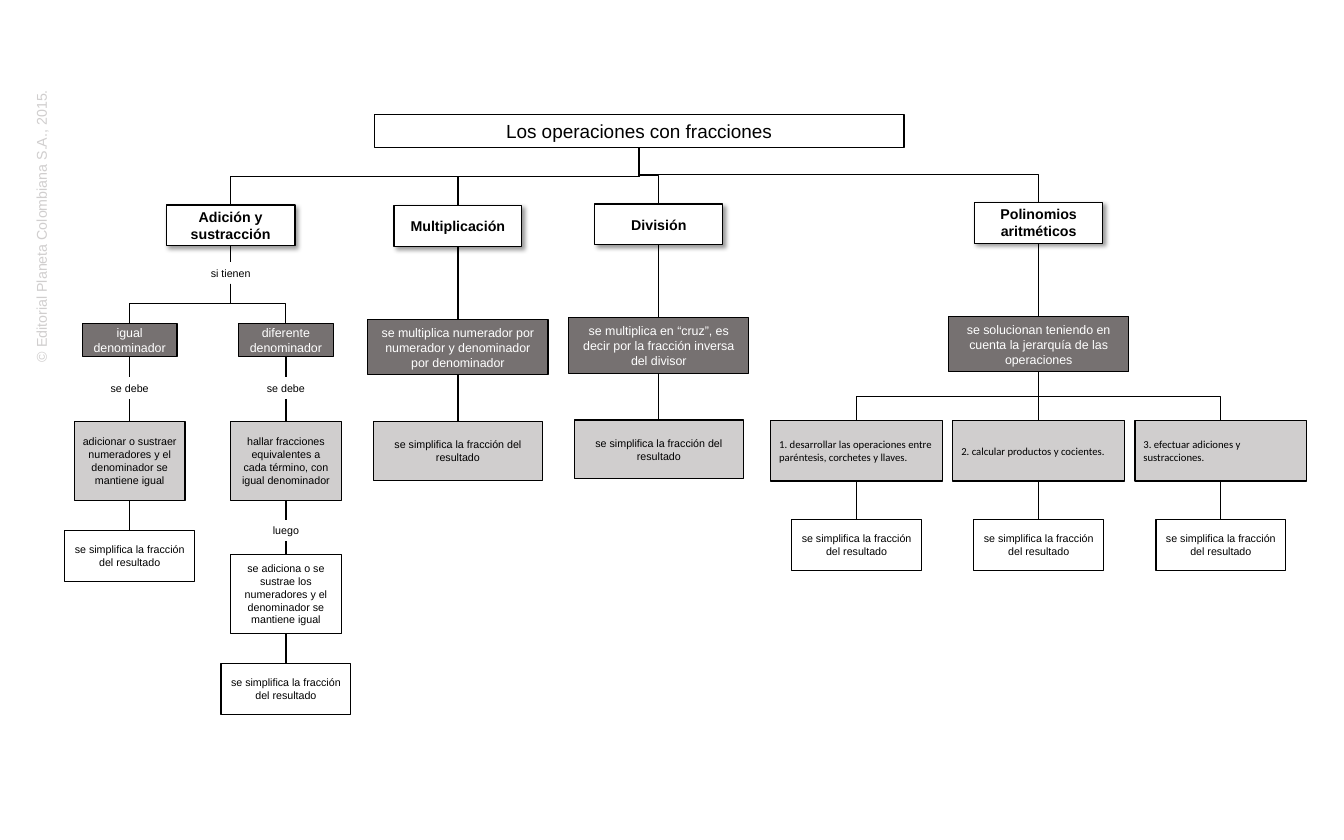
import dataclasses

import lxml.etree
import pptx
import pptx.dml.color
import pptx.enum.shapes
import pptx.enum.text
import pptx.oxml
import pptx.oxml.ns
import pptx.util

Cm = pptx.util.Cm
Pt = pptx.util.Pt
RGBColor = pptx.dml.color.RGBColor
ALIGN = pptx.enum.text.PP_ALIGN
LINK = pptx.enum.shapes.MSO_CONNECTOR

BLACK = RGBColor(0x00, 0x00, 0x00)
WHITE = RGBColor(0xFF, 0xFF, 0xFF)
DARK = RGBColor(0x76, 0x71, 0x71)
LIGHT = RGBColor(0xD0, 0xCE, 0xCE)

SHADOW = (
    '<a:outerShdw %s blurRad="50800" dist="38100" dir="2700000" algn="tl" rotWithShape="0">'
    '<a:srgbClr val="000000"><a:alpha val="40000"/></a:srgbClr></a:outerShdw>'
    % pptx.oxml.ns.nsdecls("a")
)


@dataclasses.dataclass
class Style:
    size: float
    fill: RGBColor = None
    color: RGBColor = BLACK
    font: str = "Arial"
    bold: bool = False
    align: ALIGN = ALIGN.CENTER
    raised: bool = False


TITLE = Style(16, WHITE)
HEAD = Style(12, WHITE, bold=True, raised=True)
RULE = Style(10.5, DARK, WHITE)
STEP = Style(9, LIGHT)
CASE = Style(9, LIGHT, font="Calibri", align=ALIGN.LEFT)
PLAIN = Style(9, WHITE)
LABEL = Style(9)
RIGHTS = Style(12, color=LIGHT)

RESULT = "se simplifica la fracción del resultado"


def box(slide, mid, top, width, height, text, style):
    """Place text centred on mid; a style without fill gives a text box."""
    frame = Cm(mid - width / 2), Cm(top), Cm(width), Cm(height)
    if style.fill is None:
        shape = slide.shapes.add_textbox(*frame)
    else:
        shape = slide.shapes.add_shape(pptx.enum.shapes.MSO_SHAPE.RECTANGLE, *frame)
        shape.shadow.inherit = False
        shape.fill.solid()
        shape.fill.fore_color.rgb = style.fill
        shape.line.color.rgb = BLACK
        shape.line.width = Pt(1)
    if style.raised:
        effects = shape._element.spPr.find(pptx.oxml.ns.qn("a:effectLst"))
        effects.append(pptx.oxml.parse_xml(SHADOW))
    body = shape.text_frame
    body.word_wrap = True
    body.vertical_anchor = pptx.enum.text.MSO_ANCHOR.MIDDLE
    body.text = text
    para = body.paragraphs[0]
    para.alignment = style.align
    para.font.name = style.font
    para.font.size = Pt(style.size)
    para.font.bold = style.bold
    para.font.color.rgb = style.color
    return shape


def link(slide, upper, lower):
    """Join the foot of upper to the top of lower, bending halfway down."""
    x1, y1 = upper.left + upper.width // 2, upper.top + upper.height
    x2, y2 = lower.left + lower.width // 2, lower.top
    if abs(x2 - x1) < Cm(0.1):
        line = slide.shapes.add_connector(LINK.STRAIGHT, x2, y1, x2, y2)
    else:
        # An elbow leaves sideways, so it is laid flat and then turned.
        mid_x, mid_y = (x1 + x2) // 2, (y1 + y2) // 2
        half_w, half_h = (y2 - y1) // 2, abs(x2 - x1) // 2
        line = slide.shapes.add_connector(
            LINK.ELBOW, mid_x - half_w, mid_y - half_h, mid_x + half_w, mid_y + half_h
        )
        frame = line._element.spPr.xfrm
        frame.set("rot", "5400000" if x2 < x1 else "16200000")
        if x2 > x1:
            frame.set("flipH", "1")
    line.line.color.rgb = BLACK
    line.line.width = Pt(1)
    lxml.etree.SubElement(line._element.spPr, pptx.oxml.ns.qn("a:effectLst"))


def chain(slide, above, mid, top, parts):
    """Stack linked parts under above and return the last one."""
    for drop, *rest in parts:
        below = box(slide, mid, top + drop, *rest)
        link(slide, above, below)
        above = below
    return above


def rights(slide, left, top, width, height):
    """Copyright line that reads upwards along the left edge."""
    mid, centre = left + width / 2, top + height / 2
    shape = box(slide, mid, centre - width / 2, height, width,
                "© Editorial Planeta Colombiana S.A., 2015.", RIGHTS)
    shape.text_frame.word_wrap = False
    shape.rotation = 270


def sums(slide, root, left, top, width):
    fork = chain(slide, root, left + width * 0.58, top, [
        (0, 3.83, 1.21, "Adición y sustracción", HEAD),
        (1.7, 3.12, 0.64, "si tienen", LABEL),
    ])
    same = [
        (3.53, 2.82, 0.98, "igual denominador", RULE),
        (5.13, 2.16, 0.64, "se debe", LABEL),
        (6.45, 3.3, 2.34, "adicionar o sustraer numeradores y el denominador "
                          "se mantiene igual", STEP),
        (9.7, 3.86, 1.5, RESULT, PLAIN),
    ]
    other = [
        (3.53, 2.82, 0.98, "diferente denominador", RULE),
        (5.13, 2.16, 0.64, "se debe", LABEL),
        (6.45, 3.3, 2.34, "hallar fracciones equivalentes a cada término, "
                          "con igual denominador", STEP),
        (9.37, 2.16, 0.64, "luego", LABEL),
        (10.41, 3.3, 2.34, "se adiciona o se sustrae los numeradores y el "
                           "denominador se mantiene igual", PLAIN),
        (13.66, 3.86, 1.5, RESULT, PLAIN),
    ]
    chain(slide, fork, left + 1.93, top, same)
    chain(slide, fork, left + width - 1.93, top, other)


def product(slide, root, left, top, width, name, rule):
    chain(slide, root, left + width / 2, top, [
        (0, 3.81, 1.22, name, HEAD),
        (3.39, width, 1.65, rule, RULE),
        (6.43, width - 0.33, 1.75, RESULT, STEP),
    ])


def mixed(slide, root, left, top, width):
    """Polynomials, with the three cases spread over the width."""
    fork = chain(slide, root, left + width / 2, top, [
        (0, 3.81, 1.22, "Polinomios aritméticos", HEAD),
        (3.4, 5.36, 1.65, "se solucionan teniendo en cuenta la jerarquía de las "
                          "operaciones", RULE),
    ])
    cases = [
        "1. desarrollar las operaciones entre paréntesis, corchetes y llaves.",
        "2. calcular productos y cocientes.",
        "3. efectuar adiciones y sustracciones.",
    ]
    wide = 5.11
    pitch = (width - wide) / (len(cases) - 1)
    for i, case in enumerate(cases):
        chain(slide, fork, left + wide / 2 + i * pitch, top, [
            (6.5, wide, 1.8, case, CASE),
            (9.45, 3.86, 1.5, RESULT, PLAIN),
        ])


def main():
    deck = pptx.Presentation()
    deck.slide_width, deck.slide_height = Cm(40), Cm(25)
    slide = deck.slides.add_slide(deck.slide_layouts[6])
    rights(slide, 0.85, 2.4, 0.76, 8.66)
    root = box(slide, 19.02, 3.4, 15.77, 0.99, "Los operaciones con fracciones", TITLE)
    sums(slide, root, 1.93, 6.1, 8.51)
    product(slide, root, 10.95, 6.12, 5.36, "Multiplicación",
            "se multiplica numerador por numerador y denominador por denominador")
    product(slide, root, 16.93, 6.07, 5.36, "División",
            "se multiplica en “cruz”, es decir por la fracción inversa del divisor")
    mixed(slide, root, 22.94, 6.02, 15.95)
    deck.save("out.pptx")


if __name__ == "__main__":
    main()
